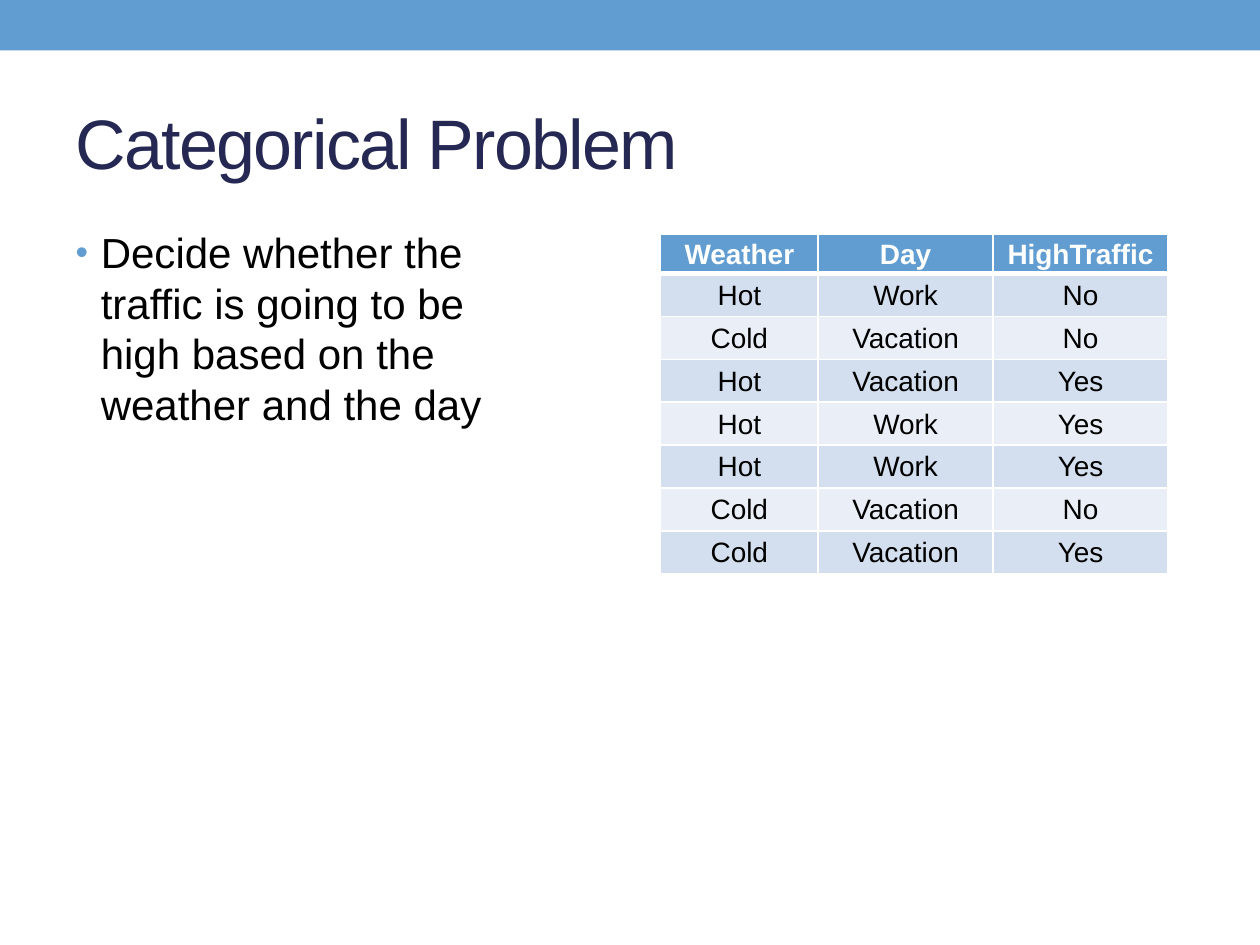
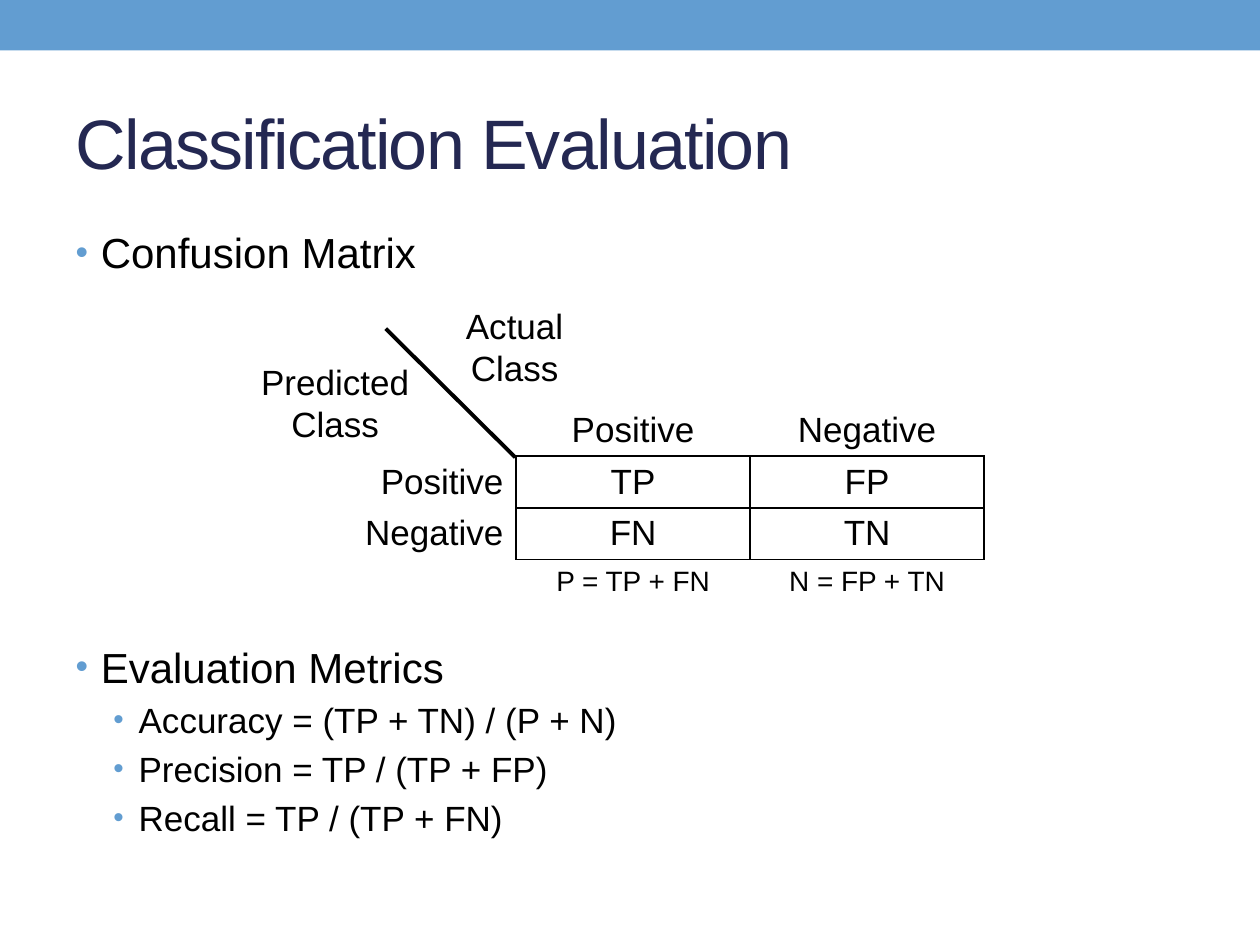
from lxml import etree
from pptx import Presentation
from pptx.dml.color import RGBColor
from pptx.enum import shapes, text
from pptx.oxml.ns import qn
from pptx.util import Pt

COLORS = {
    "accent": "629DD1",
    "title": "242852",
    "ink": "000000",
    "paper": "FFFFFF",
    "odd_row": "D3DFEE",
    "even_row": "EAEFF7",
}
FONT = "Arial"
PLAIN_TABLE = "{2D5ABB26-0587-4C30-8999-92F81FD0307C}"
BAND_BOX = (0, 0, 720, 28.8)
TITLE_BOX = (36, 42, 648, 77.75)
ALIGN = text.PP_ALIGN

TRAFFIC = [
    ("Weather", "Day", "HighTraffic"),
    ("Hot", "Work", "No"),
    ("Cold", "Vacation", "No"),
    ("Hot", "Vacation", "Yes"),
    ("Hot", "Work", "Yes"),
    ("Hot", "Work", "Yes"),
    ("Cold", "Vacation", "No"),
    ("Cold", "Vacation", "Yes"),
]
MATRIX = [
    ("", "Positive", "Negative"),
    ("Positive", "TP", "FP"),
    ("Negative", "FN", "TN"),
    ("", "P = TP + FN", "N = FP + TN"),
]
METRICS = [
    "Accuracy = (TP + TN) / (P + N)",
    "Precision = TP / (TP + FP)",
    "Recall = TP / (TP + FN)",
]


def color(name):
    return RGBColor.from_string(COLORS[name])


def set_all(target, values):
    for name, value in values.items():
        setattr(target, name, value)


def place(shape, box):
    set_all(shape, dict(zip(("left", "top", "width", "height"), map(Pt, box))))


def write(para, words, size, ink="ink", bold=False):
    span = para.add_run()
    span.text = words
    set_all(span.font, {"name": FONT, "size": Pt(size), "bold": bold})
    span.font.color.rgb = color(ink)
    return span


def add_band(page, box):
    band = page.shapes.add_shape(shapes.MSO_SHAPE.RECTANGLE, *map(Pt, box))
    band.shadow.inherit = False
    band.fill.solid()
    band.fill.fore_color.rgb = color("accent")
    band.line.fill.background()


def add_title(page, box, words):
    title = page.shapes.title
    place(title, box)
    frame = title.text_frame
    set_all(frame, {"vertical_anchor": text.MSO_ANCHOR.MIDDLE,
                    "auto_size": text.MSO_AUTO_SIZE.NONE})
    para = frame.paragraphs[0]
    para.alignment = ALIGN.LEFT
    span = write(para, words, 40, "title")
    span.font._element.set("spc", "-100")


def set_bullet(para, margin):
    props = para._p.get_or_add_pPr()
    props.set("marL", str(Pt(margin)))
    props.set("indent", str(Pt(-14.4)))
    tint = etree.SubElement(props, qn("a:buClr"))
    etree.SubElement(tint, qn("a:srgbClr"), val=COLORS["accent"])
    etree.SubElement(props, qn("a:buSzPct"), val="85000")
    etree.SubElement(props, qn("a:buFont"), typeface=FONT)
    etree.SubElement(props, qn("a:buChar"), char="•")


def add_list(page, box, items):
    body = page.placeholders[1]
    place(body, box)
    frame = body.text_frame
    frame.auto_size = text.MSO_AUTO_SIZE.NONE
    for index, (level, words, gap) in enumerate(items):
        para = frame.add_paragraph() if index else frame.paragraphs[0]
        para.level = level
        if gap:
            para.space_before = Pt(gap)
        set_bullet(para, (14.4, 36)[level])
        write(para, words, (24, 20)[level])


def add_grid(page, box, widths, heights):
    frame = page.shapes.add_table(len(heights), len(widths), *map(Pt, box))
    table = frame.table
    table._tbl.tblPr.find(qn("a:tableStyleId")).text = PLAIN_TABLE
    for column, width in zip(table.columns, widths):
        column.width = Pt(width)
    for row, height in zip(table.rows, heights):
        row.height = Pt(height)
    return table


def set_borders(cell, ink, widths):
    props = cell._tc.get_or_add_tcPr()
    for side, width in zip("LRTB", widths):
        line = etree.SubElement(props, qn(f"a:ln{side}"), w=str(Pt(width)))
        fill = etree.SubElement(line, qn("a:solidFill"))
        etree.SubElement(fill, qn("a:srgbClr"), val=COLORS[ink])


def add_traffic_table(page, box):
    heights = [22.2] + [24.57] * (len(TRAFFIC) - 1)
    table = add_grid(page, box, (90, 100, 100), heights)
    for row, words in enumerate(TRAFFIC):
        header = row == 0
        fill = "accent" if header else ("even_row", "odd_row")[row % 2]
        for column, word in enumerate(words):
            cell = table.cell(row, column)
            set_all(cell, {"margin_left": Pt(0.75), "margin_right": Pt(0.75),
                           "margin_top": Pt(0.75), "margin_bottom": 0,
                           "vertical_anchor": text.MSO_ANCHOR.MIDDLE})
            set_borders(cell, "paper", (1, 1, 3 if row == 1 else 1, 3 if header else 1))
            cell.fill.solid()
            cell.fill.fore_color.rgb = color(fill)
            para = cell.text_frame.paragraphs[0]
            para.alignment = ALIGN.CENTER
            write(para, word, 16, "paper" if header else "ink", header)


def add_axis_label(page, box, lines):
    label = page.shapes.add_textbox(*map(Pt, box))
    frame = label.text_frame
    frame.word_wrap = True
    for index, words in enumerate(lines):
        para = frame.add_paragraph() if index else frame.paragraphs[0]
        para.alignment = ALIGN.CENTER
        write(para, words, 20)


def add_confusion_matrix(page, box):
    left, top, width, height = box
    step = width / 3
    table = add_grid(page, box, [step] * 3, [height / 4] * 4)
    for row, words in enumerate(MATRIX):
        for column, word in enumerate(words):
            cell = table.cell(row, column)
            if row in (1, 2) and column:
                set_borders(cell, "ink", [1] * 4)
            para = cell.text_frame.paragraphs[0]
            para.alignment = ALIGN.CENTER if column else ALIGN.RIGHT
            if word:
                write(para, word, 16 if row == 3 else 20)
    add_axis_label(page, (left + 90, top - 60.5, 85.7, 55.4), ("Actual", "Class"))
    add_axis_label(page, (left - 28, top - 28.8, 116.6, 55.4), ("Predicted", "Class"))
    corner = (left + step - 0.5, top + 30.25)
    start = (corner[0] - 74, corner[1] - 73.5)
    divider = page.shapes.add_connector(
        shapes.MSO_CONNECTOR.STRAIGHT, *map(Pt, corner + start))
    divider.line.width = Pt(2.25)
    divider.line.color.rgb = color("ink")
    etree.SubElement(divider._element.spPr, qn("a:effectLst"))


def add_page(deck, title):
    page = deck.slides.add_slide(deck.slide_layouts[1])
    add_band(page, BAND_BOX)
    add_title(page, TITLE_BOX, title)
    return page


def build_problem(deck):
    page = add_page(deck, "Categorical Problem")
    goal = "Decide whether the traffic is going to be high based on the weather and the day"
    add_list(page, (36, 126, 256.5, 384), [(0, goal, None)])
    add_traffic_table(page, (377.5, 134, 290, 194.2))


def build_evaluation(deck):
    page = add_page(deck, "Classification Evaluation")
    metrics = [(1, words, None) for words in METRICS]
    add_list(page, (36, 126, 648, 384),
             [(0, "Confusion Matrix", None), (0, "Evaluation Metrics", 207.9)] + metrics)
    add_confusion_matrix(page, (161.2, 231.1, 401.2, 118))


def main():
    deck = Presentation()
    set_all(deck, {"slide_width": Pt(720), "slide_height": Pt(540)})
    build_problem(deck)
    build_evaluation(deck)
    deck.save("out.pptx")


if __name__ == "__main__":
    main()
